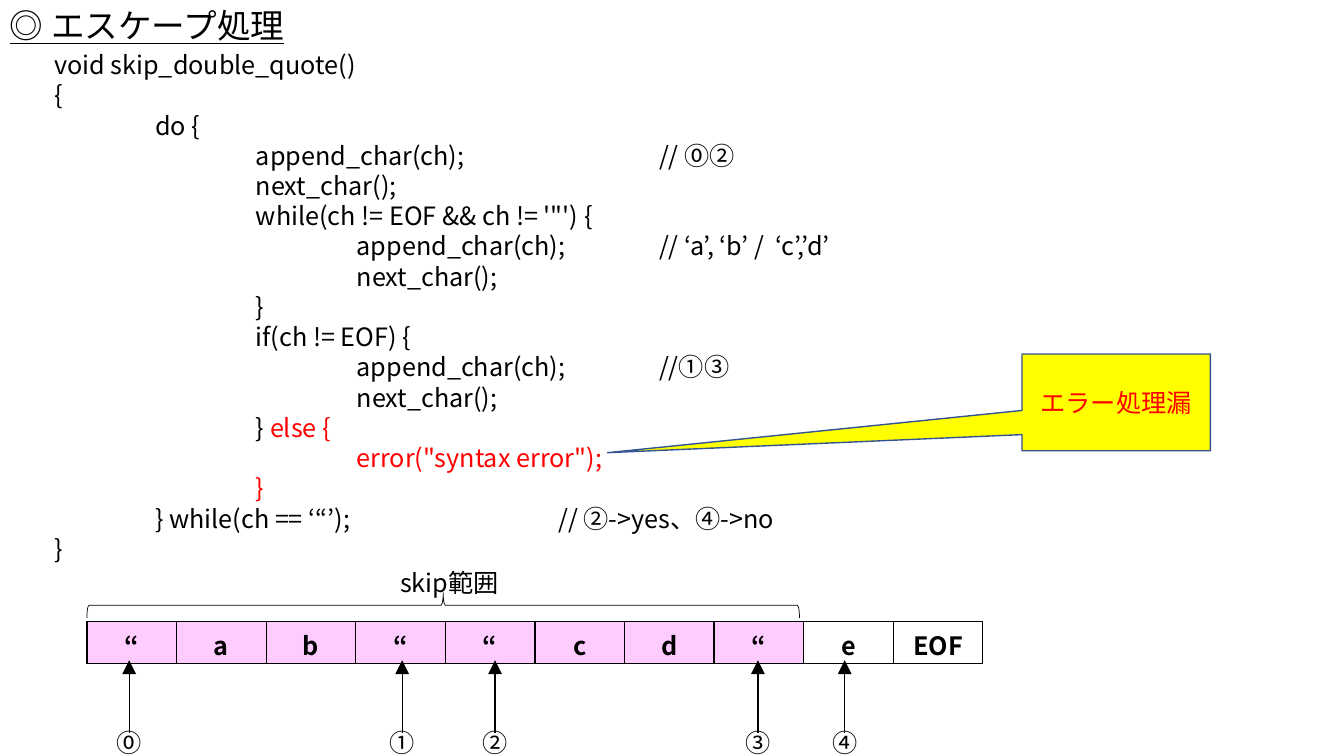
from lxml import etree
from pptx import Presentation
from pptx.dml.color import RGBColor
from pptx.enum import shapes, text
from pptx.oxml.ns import qn
from pptx.util import Pt

FONT = "Noto Sans CJK JP"
BLACK = RGBColor(0, 0, 0)
RED = RGBColor(0xFF, 0, 0)
WHITE = RGBColor(0xFF, 0xFF, 0xFF)
PINK = RGBColor(0xFF, 0xCC, 0xFF)
YELLOW = RGBColor(0xFF, 0xFF, 0)
BLUE = RGBColor(0x32, 0x54, 0x91)
CENTER = text.PP_ALIGN.CENTER
TAB_WIDTH = Pt(72)

# Each line of code is a list of (text, colour) pieces.
CODE = [[(line, BLACK)] for line in (
    "void skip_double_quote()",
    "{",
    "\tdo {",
    "\t\tappend_char(ch); \t\t// ⓪②",
    "\t\tnext_char();",
    "\t\twhile(ch != EOF && ch != '\"') {",
    "\t\t\tappend_char(ch);\t// ‘a’, ‘b’ /  ‘c’,’d’",
    "\t\t\tnext_char();",
    "\t\t}",
    "\t\tif(ch != EOF) {",
    "\t\t\tappend_char(ch);\t//①③",
    "\t\t\tnext_char();",
)] + [
    [("\t\t} ", BLACK), ("else {", RED)],
    [("\t\t\terror(\"syntax error\");", RED)],
    [("\t\t}", RED)],
    [("\t} while(ch == ‘“’);\t\t\t// ②->yes、④->no", BLACK)],
    [("}", BLACK)],
]

CHARACTERS = ["“", "a", "b", "“", "“", "c", "d", "“", "e", "EOF"]
SKIPPED = 8
CELL_WIDTH = 64
POINTERS = [("⓪", 92.3), ("①", 287.3), ("②", 353.6), ("③", 541.4), ("④", 603.4)]


def add_run(paragraph, content, size=18, color=BLACK, bold=False, underline=False):
    """Append a formatted run to a paragraph."""
    run = paragraph.add_run()
    run.text = content
    font = run.font
    font.name, font.size, font.bold, font.underline = FONT, Pt(size), bold, underline
    font.color.rgb = color
    etree.SubElement(run._r.get_or_add_rPr(), qn("a:ea"), typeface=FONT)


def write_lines(frame, lines, size=18, align=None, **style):
    """Fill a text frame with lines made of (text, colour) pieces."""
    for index, pieces in enumerate(lines):
        paragraph = frame.add_paragraph() if index else frame.paragraphs[0]
        paragraph.alignment = align
        paragraph.line_spacing = Pt(size * 1.2)
        paragraph._p.get_or_add_pPr().set("defTabSz", str(TAB_WIDTH))
        for content, color in pieces:
            add_run(paragraph, content, size=size, color=color, **style)


def add_text(slide, lines, left, top, width, height, **style):
    """Add a wrapping text box."""
    box = slide.shapes.add_textbox(Pt(left), Pt(top), Pt(width), Pt(height))
    box.text_frame.word_wrap = True
    write_lines(box.text_frame, lines, **style)


def add_border(cell):
    """Draw a thin black line on all four sides of a cell."""
    properties = cell._tc.get_or_add_tcPr()
    for index, side in enumerate(("lnL", "lnR", "lnT", "lnB")):
        line = etree.Element(qn(f"a:{side}"), w=str(Pt(1)))
        fill = etree.SubElement(line, qn("a:solidFill"))
        etree.SubElement(fill, qn("a:srgbClr"), val=str(BLACK))
        properties.insert(index, line)


def add_buffer(slide, left, top, height):
    """Add the one-row table of input characters."""
    count = len(CHARACTERS)
    table = slide.shapes.add_table(
        1, count, Pt(left), Pt(top), Pt(count * CELL_WIDTH), Pt(height)).table
    table.first_row = table.horz_banding = False
    for index, character in enumerate(CHARACTERS):
        table.columns[index].width = Pt(CELL_WIDTH)
        cell = table.cell(0, index)
        cell.margin_top, cell.margin_bottom = Pt(7.8), Pt(0)
        cell.fill.solid()
        cell.fill.fore_color.rgb = PINK if index < SKIPPED else WHITE
        write_lines(cell.text_frame, [[(character, BLACK)]], align=CENTER, bold=True)
        add_border(cell)


def add_pointer(slide, label, x):
    """Add an upward arrow with its number below."""
    arrow = slide.shapes.add_connector(
        shapes.MSO_CONNECTOR.STRAIGHT, Pt(x), Pt(471.6), Pt(x), Pt(523.4))
    arrow.line.color.rgb = BLACK
    arrow.line.width = Pt(1)
    etree.SubElement(arrow.line._get_or_add_ln(), qn("a:headEnd"),
                     type="triangle", w="lg", len="lg")
    etree.SubElement(arrow._element.spPr, qn("a:effectLst"))
    add_text(slide, [[(label, BLACK)]], x - 21.6, 516, 43.2, 29, align=CENTER)


def add_outline(slide, kind, left, top, width, height, color, weight):
    """Add an unfilled preset shape without shadow."""
    shape = slide.shapes.add_shape(kind, Pt(left), Pt(top), Pt(width), Pt(height))
    shape.shadow.inherit = False
    shape.fill.background()
    shape.line.color.rgb = color
    shape.line.width = Pt(weight)
    return shape


def add_callout(slide, content, left, top, width, height):
    """Add the yellow callout that points at the error line."""
    callout = add_outline(slide, shapes.MSO_SHAPE.RECTANGULAR_CALLOUT,
                          left, top, width, height, BLUE, 1)
    callout.adjustments[0], callout.adjustments[1] = -2.7, 0.52
    callout.fill.solid()
    callout.fill.fore_color.rgb = YELLOW
    callout.text_frame.word_wrap = True
    callout.text_frame.vertical_anchor = text.MSO_ANCHOR.MIDDLE
    write_lines(callout.text_frame, [[(content, RED)]], align=CENTER)


def main():
    """Build the slide and save it."""
    presentation = Presentation()
    presentation.slide_width, presentation.slide_height = Pt(960), Pt(540)
    slide = presentation.slides.add_slide(presentation.slide_layouts[6])
    add_text(slide, [[("◎ エスケープ処理", BLACK)]], 0, 0, 497.5, 36, size=24, underline=True)
    add_text(slide, CODE, 31.7, 31.7, 646, 378)
    add_buffer(slide, 62.2, 444.2, 29.5)
    for label, x in POINTERS:
        add_pointer(slide, label, x)
    brace = add_outline(slide, shapes.MSO_SHAPE.RIGHT_BRACE, 307.6, 177.8, 18, 509, BLACK, 0.5)
    brace.rotation = 270
    add_text(slide, [[("skip範囲", BLACK)]], 122.6, 401.8, 396.7, 29, align=CENTER)
    add_callout(slide, "エラー処理漏", 730, 252.9, 134.6, 69.1)
    presentation.save("out.pptx")


main()
